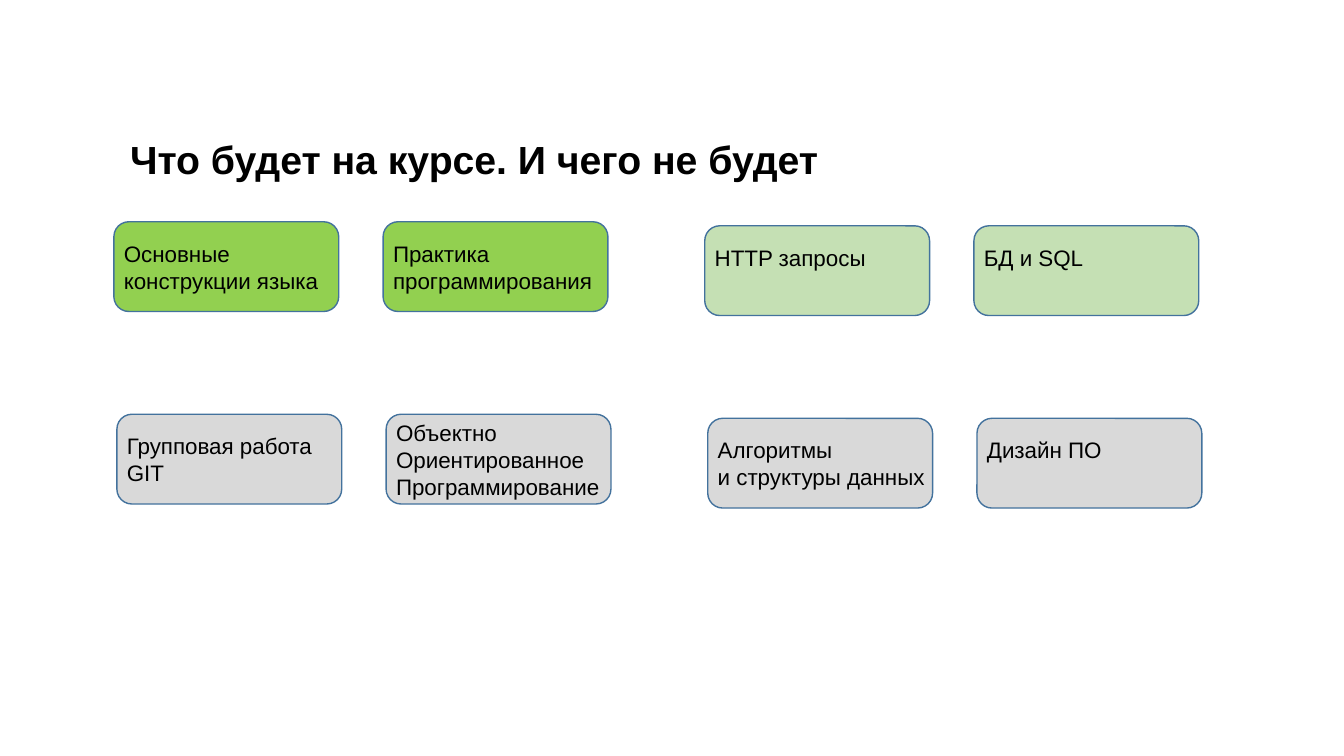
from pptx import Presentation
from pptx.dml.color import RGBColor
from pptx.enum.shapes import MSO_SHAPE
from pptx.util import Inches, Pt

CARD = MSO_SHAPE.FLOWCHART_ALTERNATE_PROCESS

TITLE = "Что будет на курсе. И чего не будет"
# Rows of pairs: (fill, labels); a label is a list of paragraphs
ROWS = [
    [("core", [["Основные", "конструкции языка"], ["Практика программирования"]]),
     ("extra", [["HTTP запросы"], ["БД и SQL"]])],
    [("out", [["Групповая работа", "GIT"],
              ["Объектно", "Ориентированное", "Программирование"]]),
     ("out", [["Алгоритмы", "и структуры данных"], ["Дизайн ПО"]])],
]

THEME = {
    "font": "Arial", "ink": "000000", "edge": "43729D",
    "core": "92D050", "extra": "C5E0B4", "out": "D9D9D9",
    "head": 28, "body": 16,
}

# Grid in inches: each step is (right, down)
START = (1.13, 2.2)
ROW_STEP = (0.03, 1.91)
PAIR_STEP = (5.86, 0.04)
CARD_STEP = (2.67, 0)
CARD_SIZE = (2.23, 0.89)
TEXT_WIDE = 2.26
LINE = 0.27
DROP = 0.13


def color(key):
    return RGBColor.from_string(THEME[key])


def write(slide, box, lines, size, bold=False, pad=None):
    """Add a text box with one paragraph per line."""
    frame = slide.shapes.add_textbox(*map(Inches, box)).text_frame
    frame.word_wrap = True
    if pad:
        for side, gap in pad.items():
            setattr(frame, f"margin_{side}", Inches(gap))
    for i, line in enumerate(lines):
        par = frame.paragraphs[0] if i == 0 else frame.add_paragraph()
        par.text = line
        style = {"name": THEME["font"], "size": Pt(THEME[size]), "bold": bold}
        for key, value in style.items():
            setattr(par.font, key, value)
        par.font.color.rgb = color("ink")


def add_card(slide, left, top, fill, lines):
    card = slide.shapes.add_shape(CARD, *map(Inches, (left, top, *CARD_SIZE)))
    card.shadow.inherit = False
    card.fill.solid()
    card.fill.fore_color.rgb = color(fill)
    card.line.color.rgb = color("edge")
    card.line.width = Pt(1)
    drop = DROP if len(lines) < 3 else 0
    tall = 0.1 + LINE * len(lines)
    write(slide, (left, top + drop, TEXT_WIDE, tall), lines, "body")


def main():
    deck = Presentation()
    deck.slide_width, deck.slide_height = Inches(13.33), Inches(7.5)
    slide = deck.slides.add_slide(deck.slide_layouts[6])
    write(slide, (1.29, 1.3, 9.04, 0.66), [TITLE], "head", True,
          {"left": 0, "right": 0, "top": 0.04, "bottom": 0})
    for r, row in enumerate(ROWS):
        for p, (fill, labels) in enumerate(row):
            for c, lines in enumerate(labels):
                left, top = (
                    start + r * down + p * pair + c * step
                    for start, down, pair, step
                    in zip(START, ROW_STEP, PAIR_STEP, CARD_STEP))
                add_card(slide, left, top, fill, lines)
    deck.save("out.pptx")


if __name__ == "__main__":
    main()
